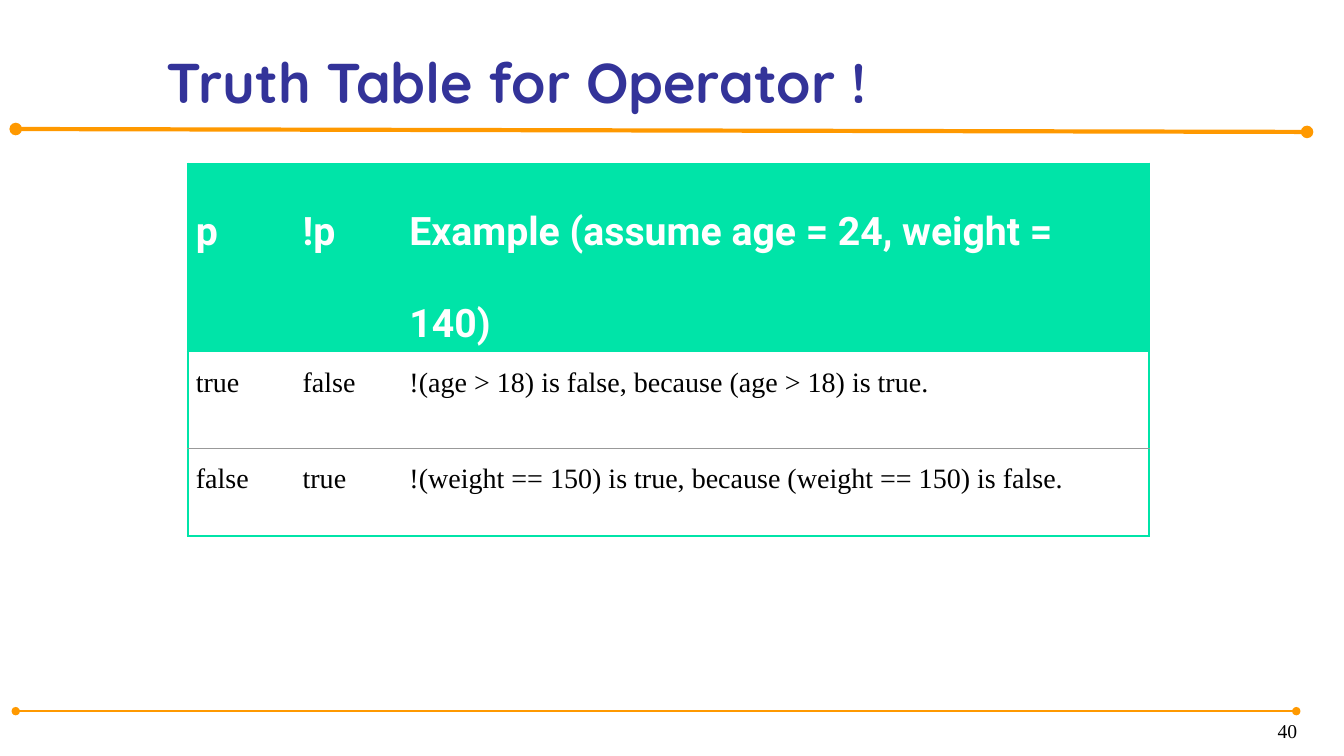
from lxml import etree
from pptx import Presentation, util as u
from pptx.dml.color import RGBColor
from pptx.enum import shapes, text
from pptx.oxml import ns

COLORS = {"orange": "FF9900", "navy": "333399", "green": "00E4A8",
          "gray": "999999", "white": "FFFFFF", "black": "000000"}

presentation = Presentation()
presentation.slide_width = u.Inches(13.33)
presentation.slide_height = u.Inches(7.5)
slide = presentation.slides.add_slide(presentation.slide_layouts[6])

# The slide is a grid of 100 columns by 100 rows.
column = presentation.slide_width / 100
row = presentation.slide_height / 100


def grid(*lengths):
    """Turn alternating column and row counts into lengths."""
    return [u.Emu(round(n * (row if i % 2 else column))) for i, n in enumerate(lengths)]


def write_text(frame, words, font="Times New Roman", size=20, color="black", bold=False,
               align=text.PP_ALIGN.LEFT, spacing=1.0, anchor=None):
    frame.word_wrap = True
    if anchor is not None:
        frame.vertical_anchor = anchor
    paragraph = frame.paragraphs[0]
    paragraph.alignment = align
    paragraph.line_spacing = spacing
    run = paragraph.add_run()
    run.text = words
    run.font.name = font
    run.font.size = u.Pt(size)
    run.font.bold = bold
    run.font.color.rgb = RGBColor.from_string(COLORS[color])


# Rules under the title and above the page number
for ends, width in [((1.17, 17.07, 97.25, 17.45), 3), ((1.17, 94.07, 96.45, 94.07), 1.5)]:
    rule = slide.shapes.add_connector(shapes.MSO_CONNECTOR.STRAIGHT, *grid(*ends))
    rule.line.color.rgb = RGBColor.from_string(COLORS["orange"])
    rule.line.width = u.Pt(width)
    for end in ("a:headEnd", "a:tailEnd"):
        etree.SubElement(rule.line._get_or_add_ln(), ns.qn(end), type="oval")
    etree.SubElement(rule._element.spPr, ns.qn("a:effectLst"))

# Title and page number
title = slide.shapes.add_textbox(*grid(11.65, 0.8, 86.2, 15.07))
write_text(title.text_frame, "Truth Table for Operator !", font="Quicksand", size=40,
           color="navy", bold=True, anchor=text.MSO_ANCHOR.BOTTOM)
page_number = slide.shapes.add_textbox(*grid(76.4, 92.95, 20.86, 5.87))
write_text(page_number.text_frame, "40", size=14, align=text.PP_ALIGN.RIGHT,
           anchor=text.MSO_ANCHOR.BOTTOM)

# Truth table
TRUTH_ROWS = [
    ("p", "!p", "Example (assume age = 24, weight = 140)"),
    ("true", "false", "!(age > 18) is false, because (age > 18) is true."),
    ("false", "true", "!(weight == 150) is true, because (weight == 150) is false."),
]
COLUMN_WIDTHS = (7.95, 7.95, 55.6)
ROW_HEIGHTS = (17.87, 12.8, 11.6)
HEADER = {"font": "Roboto", "size": 28, "color": "white", "bold": True, "spacing": 2.0}
BODY = {"spacing": 1.5}

table = slide.shapes.add_table(
    3, 3, *grid(13.97, 21.6, sum(COLUMN_WIDTHS), sum(ROW_HEIGHTS))).table
for table_column, width in zip(table.columns, COLUMN_WIDTHS):
    table_column.width = round(width * column)
for table_row, height in zip(table.rows, ROW_HEIGHTS):
    table_row.height = round(height * row)

for r, words_in_row in enumerate(TRUTH_ROWS):
    for c, words in enumerate(words_in_row):
        cell = table.cell(r, c)
        cell.margin_left = cell.margin_right = u.Inches(0.08)
        cell.margin_top = cell.margin_bottom = 0
        cell.fill.solid()
        cell.fill.fore_color.rgb = RGBColor.from_string(COLORS["white" if r else "green"])
        write_text(cell.text_frame, words, **(BODY if r else HEADER))

        borders = {
            "a:lnL": ("green", 1.5) if c == 0 else (None, 0),
            "a:lnR": ("green", 1.5) if c == 2 else (None, 0),
            "a:lnT": ("gray", 0.5) if r == 2 else ("green", 1),
            "a:lnB": ("gray", 0.5) if r == 1 else ("green", 1),
        }
        properties = cell._tc.get_or_add_tcPr()
        for position, (side, (color, width)) in enumerate(borders.items()):
            border = etree.Element(ns.qn(side), w=str(u.Pt(width)))
            if color:
                fill = etree.SubElement(border, ns.qn("a:solidFill"))
                etree.SubElement(fill, ns.qn("a:srgbClr"), val=COLORS[color])
            else:
                etree.SubElement(border, ns.qn("a:noFill"))
            properties.insert(position, border)

presentation.save("out.pptx")
